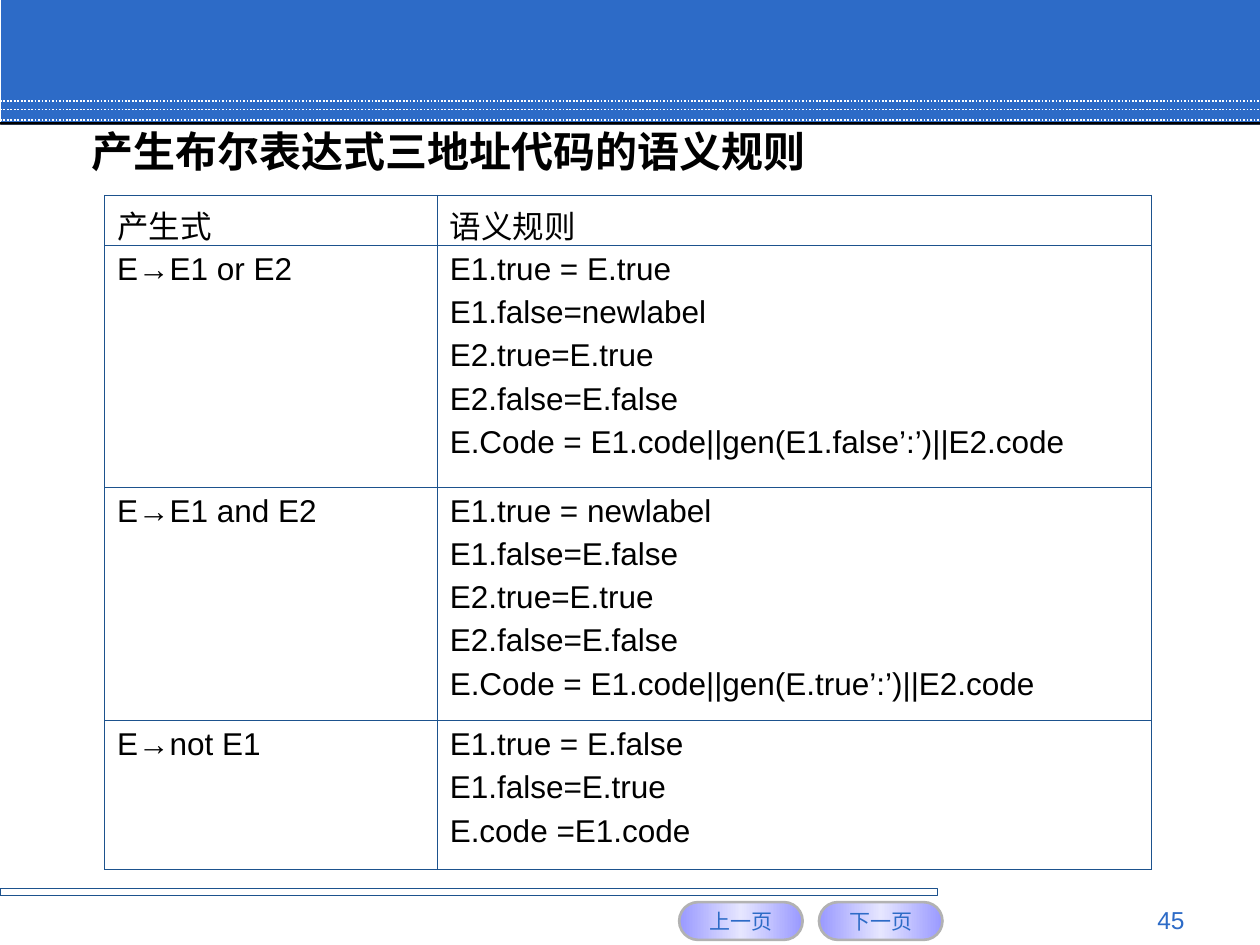
from copy import deepcopy

from lxml import etree
from pptx import Presentation
from pptx.dml.color import RGBColor
from pptx.enum.dml import MSO_LINE
from pptx.enum.shapes import MSO_CONNECTOR, MSO_SHAPE
from pptx.enum.text import MSO_ANCHOR, PP_ALIGN
from pptx.oxml.ns import qn
from pptx.util import Inches, Pt

RECTANGLE, ROUNDED = MSO_SHAPE.RECTANGLE, MSO_SHAPE.ROUNDED_RECTANGLE
STRAIGHT, DOTTED = MSO_CONNECTOR.STRAIGHT, MSO_LINE.ROUND_DOT
MIDDLE = MSO_ANCHOR.MIDDLE
LEFT, CENTER, RIGHT = PP_ALIGN.LEFT, PP_ALIGN.CENTER, PP_ALIGN.RIGHT

BLUE = RGBColor(0x2D, 0x6B, 0xC7)
DARK_BLUE = RGBColor(0x1D, 0x52, 0x8D)
VIOLET = RGBColor(0x99, 0x99, 0xFF)
PALE_VIOLET = RGBColor(0xE6, 0xE6, 0xFF)
GRAY = RGBColor(0xB2, 0xB2, 0xB2)
BLACK = RGBColor(0, 0, 0)
WHITE = RGBColor(0xFF, 0xFF, 0xFF)

TITLE = "产生布尔表达式三地址代码的语义规则"
PAGE_NUMBER = "45"
BUTTONS = [("上一页", 5.39), ("下一页", 6.5)]
HEADER_LINES = [0.8, 0.87, 0.95]
COLUMN_WIDTHS = [2.64, 5.67]
ROW_HEIGHTS = [0.4, 1.92, 1.85, 1.18]
RULES = [
    ("产生式", ["语义规则"]),
    ("E→E1 or E2", [
        "E1.true = E.true",
        "E1.false=newlabel",
        "E2.true=E.true",
        "E2.false=E.false",
        "E.Code = E1.code||gen(E1.false’:’)||E2.code",
    ]),
    ("E→E1 and E2", [
        "E1.true = newlabel",
        "E1.false=E.false",
        "E2.true=E.true",
        "E2.false=E.false",
        "E.Code = E1.code||gen(E.true’:’)||E2.code",
    ]),
    ("E→not E1", [
        "E1.true = E.false",
        "E1.false=E.true",
        "E.code =E1.code",
    ]),
]


def write(text_frame, text, size, color, align=LEFT, bold=False):
    text_frame.text = text
    for index, paragraph in enumerate(text_frame.paragraphs):
        paragraph.alignment = align
        if index:
            paragraph.space_before = Pt(4.5)
        for run in paragraph.runs:
            run.font.name = "Arial"
            run.font.size = Pt(size)
            run.font.bold = bold
            run.font.color.rgb = color


def add_box(slide, kind, box, fill=None, line=None, width=0.75):
    shape = slide.shapes.add_shape(kind, *map(Inches, box))
    shape.shadow.inherit = False
    if fill is None:
        shape.fill.background()
    else:
        shape.fill.solid()
        shape.fill.fore_color.rgb = fill
    if line is None:
        shape.line.fill.background()
    else:
        shape.line.color.rgb = line
        shape.line.width = Pt(width)
    return shape


def add_text(slide, box, text, size, color, **style):
    text_frame = slide.shapes.add_textbox(*map(Inches, box)).text_frame
    text_frame.word_wrap = True
    write(text_frame, text, size, color, **style)
    return text_frame


def add_header_line(slide, y):
    line = slide.shapes.add_connector(STRAIGHT, 0, Inches(y), Inches(10), Inches(y))
    line.line.color.rgb = WHITE
    line.line.width = Pt(1)
    line.line.dash_style = DOTTED
    etree.SubElement(line._element.spPr, qn("a:effectLst"))


def add_button(slide, label, left):
    button = add_box(slide, ROUNDED, (left, 7.16, 0.98, 0.3), VIOLET, GRAY, 1.5)
    button.adjustments[0] = 0.5
    button.fill.gradient()
    button.fill.gradient_angle = 0
    stop_list = button._element.spPr.find(qn("a:gradFill")).find(qn("a:gsLst"))
    stop_list.append(deepcopy(stop_list[0]))
    stops = [(0, VIOLET), (0.5, PALE_VIOLET), (1, VIOLET)]
    for stop, (position, color) in zip(button.fill.gradient_stops, stops):
        stop.position = position
        stop.color.rgb = color
    button.text_frame.word_wrap = False
    button.text_frame.vertical_anchor = MIDDLE
    write(button.text_frame, label, 12, BLUE, CENTER)


def set_borders(cell):
    properties = cell._tc.get_or_add_tcPr()
    for index, side in enumerate(("lnL", "lnR", "lnT", "lnB")):
        border = etree.Element(qn(f"a:{side}"), w=str(Pt(0.45)))
        fill = etree.SubElement(border, qn("a:solidFill"))
        etree.SubElement(fill, qn("a:srgbClr"), val=str(DARK_BLUE))
        properties.insert(index, border)


def add_rules_table(slide):
    table = slide.shapes.add_table(
        len(ROW_HEIGHTS), len(COLUMN_WIDTHS), Inches(0.83), Inches(1.55),
        Inches(sum(COLUMN_WIDTHS)), Inches(sum(ROW_HEIGHTS))).table
    table.first_row = table.horz_banding = False
    for column, width in zip(table.columns, COLUMN_WIDTHS):
        column.width = Inches(width)
    for row, height, (production, rules) in zip(table.rows, ROW_HEIGHTS, RULES):
        row.height = Inches(height)
        for cell, text in zip(row.cells, (production, "\n".join(rules))):
            cell.fill.background()
            set_borders(cell)
            write(cell.text_frame, text, 18, BLACK)


def main():
    presentation = Presentation()
    presentation.slide_width, presentation.slide_height = Inches(10), Inches(7.5)
    slide = presentation.slides.add_slide(presentation.slide_layouts[6])

    add_box(slide, RECTANGLE, (0.01, 0, 9.99, 0.99), BLUE)
    for y in HEADER_LINES:
        add_header_line(slide, y)
    add_box(slide, RECTANGLE, (0, 0.97, 10, 0.02), BLACK)
    add_box(slide, RECTANGLE, (0, 7.05, 7.44, 0.06), line=DARK_BLUE)
    for label, left in BUTTONS:
        add_button(slide, label, left)

    add_text(slide, (7.17, 7.13, 2.33, 0.27), PAGE_NUMBER, 14, BLUE, align=RIGHT)
    title = add_text(slide, (0.63, 0.97, 8.33, 0.46), TITLE, 24, BLACK, bold=True)
    title.vertical_anchor = MIDDLE
    add_rules_table(slide)
    presentation.save("out.pptx")


if __name__ == "__main__":
    main()
